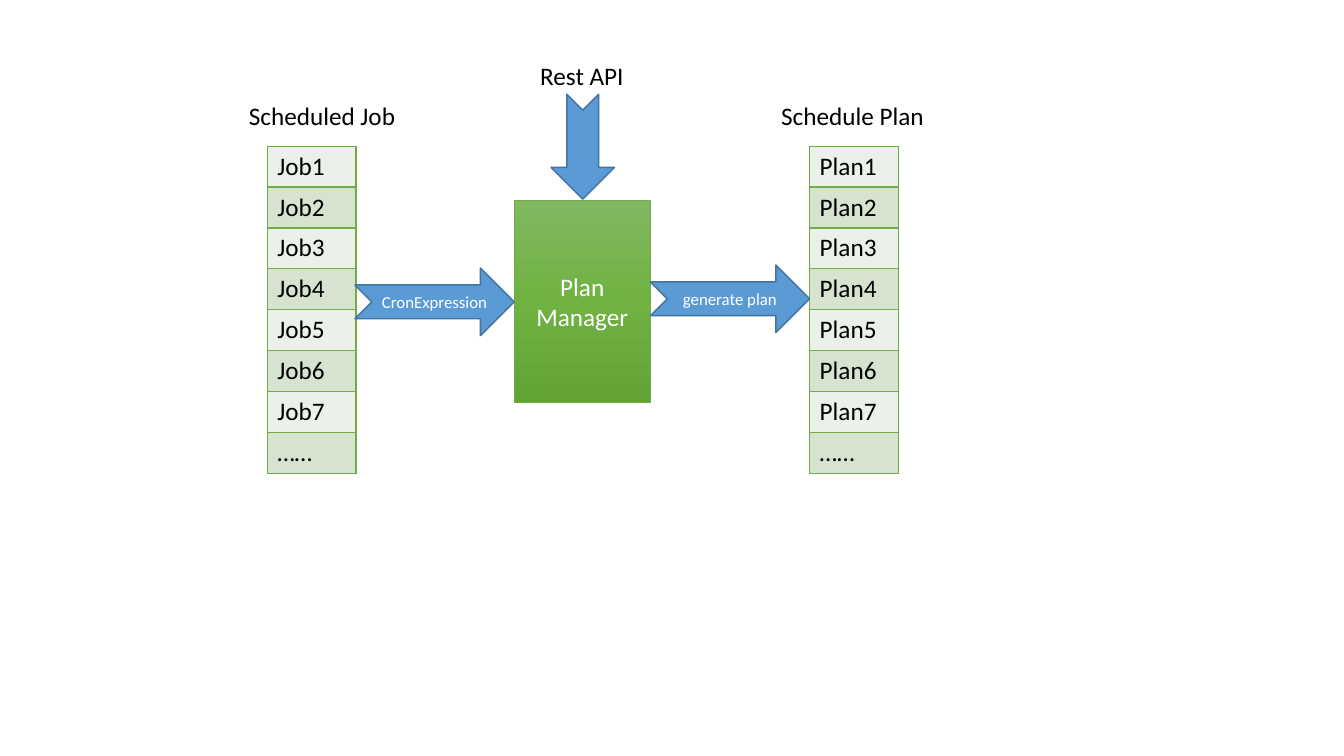
from copy import deepcopy

from lxml import etree
from pptx import Presentation
from pptx.dml.color import RGBColor
from pptx.enum.shapes import MSO_SHAPE
from pptx.enum.text import MSO_ANCHOR, MSO_AUTO_SIZE, PP_ALIGN
from pptx.oxml.ns import qn
from pptx.util import Inches, Pt

RECTANGLE = MSO_SHAPE.RECTANGLE
ARROW = MSO_SHAPE.NOTCHED_RIGHT_ARROW
MIDDLE = MSO_ANCHOR.MIDDLE
CENTER = PP_ALIGN.CENTER
GROW = MSO_AUTO_SIZE.SHAPE_TO_FIT_TEXT

FONT = "Calibri"
COLORS = {
    "text": "000000", "light_text": "FFFFFF", "green": "70AD47",
    "odd_row": "EBF1E9", "even_row": "D5E3CF",
    "arrow": "5B9BD5", "arrow_line": "43739E",
}
MANAGER_STOPS = [(0, "81B861"), (0.5, "6FB242"), (1, "62A336")]

ROW_COUNT = 8
COLUMN_WIDTH, TABLE_HEIGHT, TABLE_TOP = 0.88, 3.24, 1.45
JOB_LEFT, PLAN_LEFT = 2.65, 8.03
MANAGER_LEFT, MANAGER_TOP, MANAGER_WIDTH, MANAGER_HEIGHT = 5.1, 1.99, 1.35, 2
MANAGER_RIGHT = MANAGER_LEFT + MANAGER_WIDTH
FLOW_WIDTH, FLOW_HEIGHT = 1.58, 0.67

TABLES = [("Plan", PLAN_LEFT), ("Job", JOB_LEFT)]
LABELS = [
    ("Schedule Plan", 7.65, 0.95, 1.63),
    ("Scheduled Job", 2.37, 0.95, 1.67),
    ("Rest API", 5.26, 0.55, 1.04),
]
ARROWS = [
    ("CronExpression", MANAGER_LEFT - FLOW_WIDTH, 2.66, FLOW_WIDTH, FLOW_HEIGHT, 0),
    ("generate plan", MANAGER_RIGHT, 2.63, FLOW_WIDTH, FLOW_HEIGHT, 0),
    ("", 5.26, 1.14, 1.04, 0.63, 90),
]


def color(name):
    return RGBColor.from_string(COLORS[name])


def write(frame, lines, size, color_name, align=None):
    for index, line in enumerate(lines):
        para = frame.paragraphs[0] if index == 0 else frame.add_paragraph()
        para.alignment = align
        span = para.add_run()
        span.text = line
        span.font.name = FONT
        span.font.size = Pt(size)
        span.font.color.rgb = color(color_name)


def add_box(page, kind, place, line_color, line_width):
    box = page.shapes.add_shape(kind, *map(Inches, place))
    box.shadow.inherit = False
    box.line.color.rgb = color(line_color)
    box.line.width = Pt(line_width)
    box.text_frame.vertical_anchor = MIDDLE
    return box


def add_borders(cell):
    properties = cell._tc.get_or_add_tcPr()
    for side in ("lnL", "lnR", "lnT", "lnB"):
        border = etree.SubElement(properties, qn("a:" + side), w=str(Pt(1)))
        fill = etree.SubElement(border, qn("a:solidFill"))
        etree.SubElement(fill, qn("a:srgbClr"), val=COLORS["green"])


def add_list(page, prefix, left):
    place = map(Inches, (left, TABLE_TOP, COLUMN_WIDTH, TABLE_HEIGHT))
    table = page.shapes.add_table(ROW_COUNT, 1, *place).table
    names = [f"{prefix}{number}" for number in range(1, ROW_COUNT)] + ["……"]
    for index, name in enumerate(names):
        cell = table.cell(index, 0)
        add_borders(cell)
        cell.fill.solid()
        cell.fill.fore_color.rgb = color("even_row" if index % 2 else "odd_row")
        write(cell.text_frame, [name], 18, "text")


def add_label(page, text, left, top, width):
    box = page.shapes.add_textbox(*map(Inches, (left, top, width, 0.4)))
    box.text_frame.word_wrap = False
    box.text_frame.auto_size = GROW
    write(box.text_frame, [text], 18, "text")


def add_manager(page):
    place = (MANAGER_LEFT, MANAGER_TOP, MANAGER_WIDTH, MANAGER_HEIGHT)
    box = add_box(page, RECTANGLE, place, "green", 0.5)
    box.fill.gradient()
    box.fill.gradient_angle = 270
    stop_list = box._element.spPr.find(".//" + qn("a:gsLst"))
    stop_list.append(deepcopy(stop_list[0]))
    for stop, (position, hex_color) in zip(box.fill.gradient_stops, MANAGER_STOPS):
        stop.position = position
        stop.color.rgb = RGBColor.from_string(hex_color)
    write(box.text_frame, ["Plan", "Manager"], 18, "light_text", CENTER)


def add_arrow(page, text, left, top, width, height, rotation):
    box = add_box(page, ARROW, (left, top, width, height), "arrow_line", 1)
    box.rotation = rotation
    box.fill.solid()
    box.fill.fore_color.rgb = color("arrow")
    if text:
        box.text_frame.word_wrap = False
        write(box.text_frame, [text], 12, "light_text", CENTER)


def main():
    """Build the job scheduling slide."""
    deck = Presentation()
    deck.slide_width, deck.slide_height = Inches(13.33), Inches(7.5)
    page = deck.slides.add_slide(deck.slide_layouts[6])
    for table in TABLES:
        add_list(page, *table)
    add_manager(page)
    for arrow in ARROWS:
        add_arrow(page, *arrow)
    for label in LABELS:
        add_label(page, *label)
    deck.save("out.pptx")


main()
